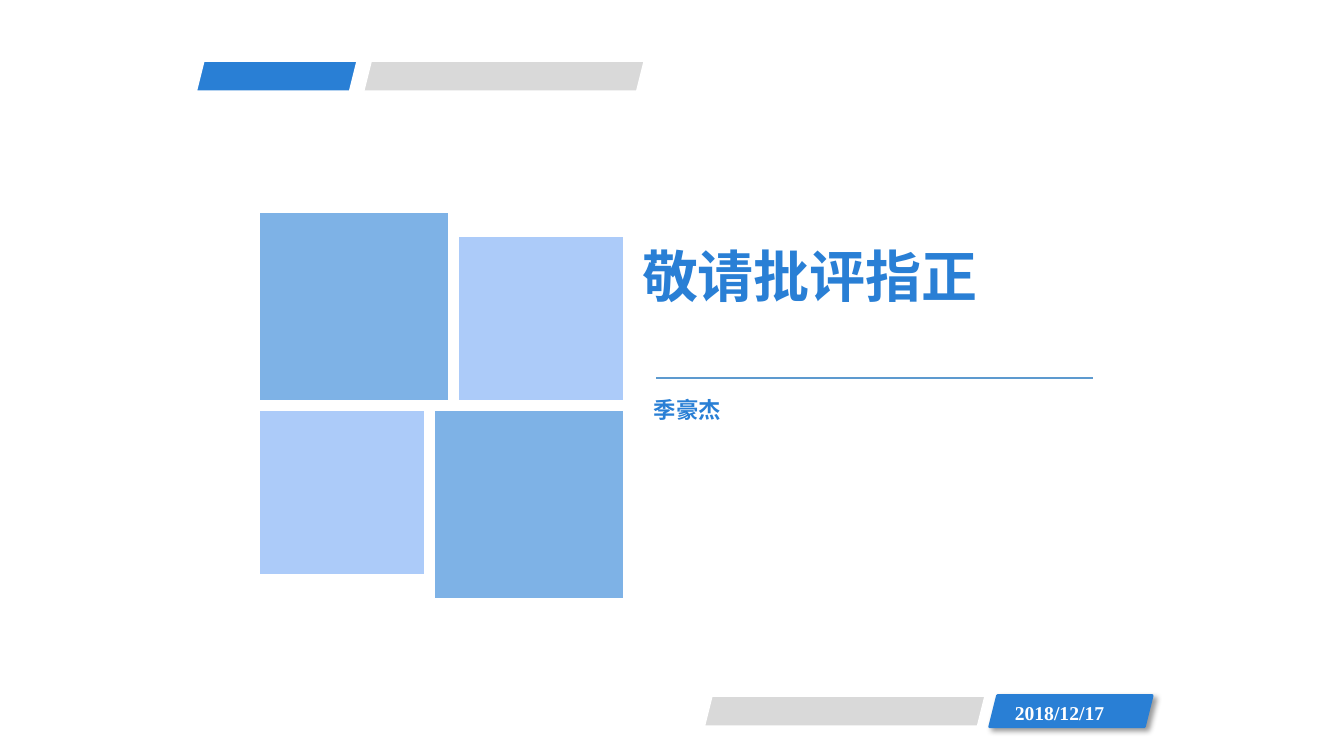
from dataclasses import dataclass

from lxml import etree
from pptx import Presentation
from pptx.dml.color import RGBColor
from pptx.enum.shapes import MSO_CONNECTOR, MSO_SHAPE
from pptx.enum.text import MSO_ANCHOR, MSO_AUTO_SIZE, PP_ALIGN
from pptx.oxml import parse_xml
from pptx.oxml.ns import nsdecls, qn
from pptx.shapes.autoshape import Shape
from pptx.slide import Slide
from pptx.util import Pt

PARALLELOGRAM = MSO_SHAPE.PARALLELOGRAM
RECTANGLE = MSO_SHAPE.RECTANGLE
STRAIGHT = MSO_CONNECTOR.STRAIGHT
TOP = MSO_ANCHOR.TOP
LEFT = PP_ALIGN.LEFT
FIT_SHAPE = MSO_AUTO_SIZE.SHAPE_TO_FIT_TEXT

COLOURS = {
    "blue": "297FD5",
    "mid_blue": "7EB2E6",
    "pale_blue": "ACCBF9",
    "rule": "5D9ACF",
    "grey": "D9D9D9",
    "white": "FFFFFF",
}

BAR_HEIGHT = 22.3
SHORT_BAR, LONG_BAR = 116, 201.6
HEADER_TOP, FOOTER_TOP = 43.2, 496.8
LARGE_TILE, SMALL_TILE = 136, 118.8
TILES_LEFT, TILES_RIGHT = 185, 445.7
UPPER_ROW_BOTTOM, LOWER_ROW_TOP = 287, 292.3


@dataclass(frozen=True)
class Block:
    left: float
    top: float
    width: float
    height: float
    fill: str
    outline: str = "white"


@dataclass(frozen=True)
class Label:
    text: str
    left: float
    top: float
    width: float
    height: float
    size: float
    colour: str
    font: str = "Roboto"


DATE_BAR = Block(707, FOOTER_TOP, SHORT_BAR, BAR_HEIGHT, "blue", "blue")
BARS = [
    Block(139.7, HEADER_TOP, SHORT_BAR, BAR_HEIGHT, "blue"),
    Block(502.6, FOOTER_TOP, LONG_BAR, BAR_HEIGHT, "grey"),
    Block(259.2, HEADER_TOP, LONG_BAR, BAR_HEIGHT, "grey"),
]

CLOSING = Label("敬请批评指正", 451.4, 169.2, 257, 200.9, 40, "blue")
AUTHOR = Label("季豪杰", 460, 279.4, 63.4, 26.6, 16, "blue")
DATE = Label("2018/12/17", 717.8, 496.8, 79.2, 24.5, 14, "white", "Times New Roman")


def rgb(name: str) -> RGBColor:
    return RGBColor.from_string(COLOURS[name])


def tile(size: float, on_left: bool, on_top: bool) -> Block:
    """Place a square against the outer edge and the gap between the rows."""
    return Block(
        TILES_LEFT if on_left else TILES_RIGHT - size,
        UPPER_ROW_BOTTOM - size if on_top else LOWER_ROW_TOP,
        size,
        size,
        "mid_blue" if size == LARGE_TILE else "pale_blue",
    )


def draw_block(slide: Slide, block: Block, kind: MSO_SHAPE) -> Shape:
    shape = slide.shapes.add_shape(
        kind, Pt(block.left), Pt(block.top), Pt(block.width), Pt(block.height)
    )
    shape.fill.solid()
    shape.fill.fore_color.rgb = rgb(block.fill)
    shape.line.color.rgb = rgb(block.outline)
    shape.line.width = Pt(2)
    shape.shadow.inherit = False
    return shape


def cast_shadow(shape: Shape) -> None:
    effects = shape._element.spPr.find(qn("a:effectLst"))
    effects.append(parse_xml(
        f'<a:outerShdw {nsdecls("a")} blurRad="{Pt(4)}" dist="{Pt(3)}" '
        'dir="2700000" algn="tl" rotWithShape="0">'
        '<a:srgbClr val="000000"><a:alpha val="40000"/></a:srgbClr></a:outerShdw>'
    ))


def write_label(holder: Shape, label: Label) -> None:
    """Place and format the text of a text box or placeholder."""
    for side in ("left", "top", "width", "height"):
        setattr(holder, side, Pt(getattr(label, side)))
    frame = holder.text_frame
    frame.text = label.text
    frame_format = {"word_wrap": False, "auto_size": FIT_SHAPE, "vertical_anchor": TOP}
    for name, value in frame_format.items():
        setattr(frame, name, value)
    paragraph = frame.paragraphs[0]
    paragraph.alignment = LEFT
    run = paragraph.runs[0]
    font_format = {"name": label.font, "size": Pt(label.size), "bold": True}
    for name, value in font_format.items():
        setattr(run.font, name, value)
    run.font.color.rgb = rgb(label.colour)
    east_asian = etree.Element(qn("a:ea"), typeface=label.font)
    run._r.rPr.find(qn("a:latin")).addnext(east_asian)


def draw_rule(slide: Slide) -> None:
    rule = slide.shapes.add_connector(STRAIGHT, Pt(468.7), Pt(270), Pt(780.5), Pt(270))
    rule.line.color.rgb = rgb("rule")
    rule.line.width = Pt(0.75)
    etree.SubElement(rule._element.spPr, qn("a:effectLst"))


def add_label(slide: Slide, label: Label) -> None:
    write_label(slide.shapes.add_textbox(0, 0, 0, 0), label)


def main() -> None:
    deck = Presentation()
    deck.slide_width, deck.slide_height = Pt(960), Pt(540)
    slide = deck.slides.add_slide(deck.slide_layouts[5])

    write_label(slide.shapes.title, CLOSING)
    cast_shadow(draw_block(slide, DATE_BAR, PARALLELOGRAM))
    for bar in BARS:
        draw_block(slide, bar, PARALLELOGRAM)
    draw_rule(slide)
    add_label(slide, AUTHOR)
    for size in (LARGE_TILE, SMALL_TILE):
        for on_top in (True, False):
            on_left = on_top == (size == LARGE_TILE)
            draw_block(slide, tile(size, on_left, on_top), RECTANGLE)
    add_label(slide, DATE)

    deck.save("out.pptx")


if __name__ == "__main__":
    main()
